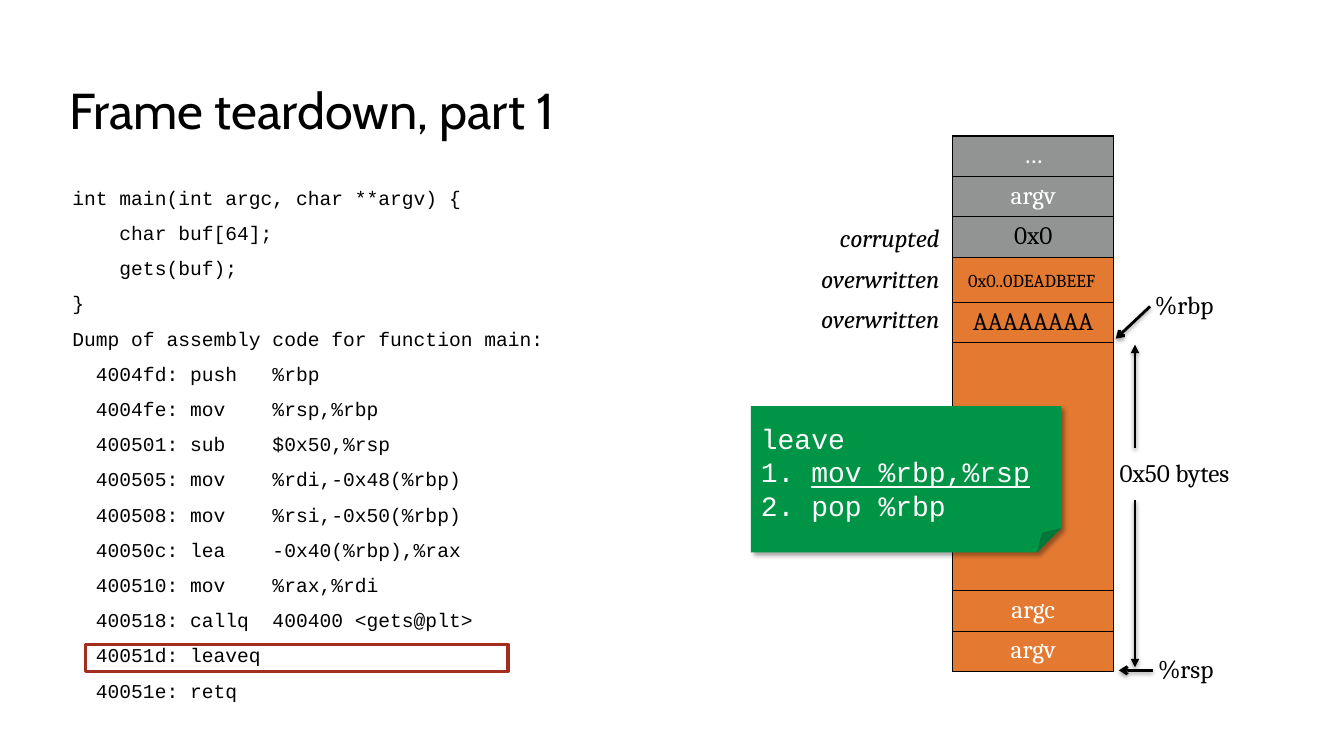
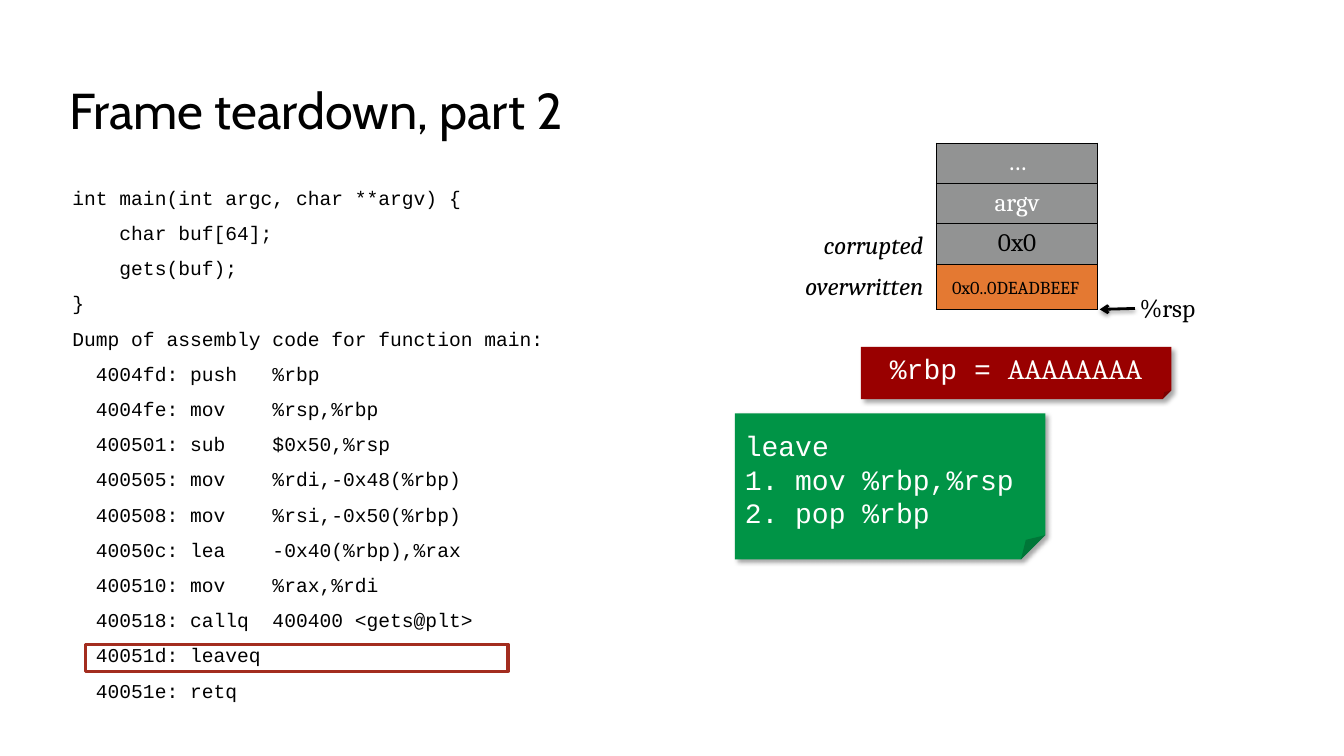
import typing

import lxml.etree
import pptx
import pptx.dml.color
import pptx.enum.shapes
import pptx.enum.text
import pptx.oxml.ns
import pptx.util

EMU_PER_PX = 9144
ALIGN = pptx.enum.text.PP_ALIGN
ANCHOR = pptx.enum.text.MSO_ANCHOR
SHAPE = pptx.enum.shapes.MSO_SHAPE
qn = pptx.oxml.ns.qn


class TextStyle(typing.NamedTuple):
    font: str
    size: int
    color: str = "000000"
    italic: bool = False


class Theme(typing.NamedTuple):
    black: str = "000000"
    gray: str = "929393"
    orange: str = "E47932"
    green: str = "009446"
    red: str = "990000"
    highlight: str = "A32D1F"
    title: TextStyle = TextStyle("Cabin", 36)
    code: TextStyle = TextStyle("Courier New", 14)
    label: TextStyle = TextStyle("Cambria", 18)
    light_label: TextStyle = TextStyle("Cambria", 18, "FFFFFF")
    note: TextStyle = TextStyle("Cambria", 18, italic=True)
    address: TextStyle = TextStyle("Cambria", 13)
    callout: TextStyle = TextStyle("Courier New", 20, "FFFFFE")
    callout_value: TextStyle = TextStyle("Cambria", 20, "FFFFFE")


THEME = Theme()


class Box(typing.NamedTuple):
    left: int
    top: int
    width: int
    height: int


class StackRow(typing.NamedTuple):
    text: str
    fill: str
    style: TextStyle = THEME.label
    height: int = 40


class Label(typing.NamedTuple):
    text: str
    box: Box


class Arrow(typing.NamedTuple):
    start: tuple[int, int]
    end: tuple[int, int]
    head: str = "arrow"


class CalloutLine(typing.NamedTuple):
    text: str
    numbered: bool = False
    underline: bool = False
    value: str = ""


class Callout(typing.NamedTuple):
    box: Box
    fill: str
    lines: tuple[CalloutLine, ...]
    inset_top: int = 5
    align: ALIGN = ALIGN.LEFT


class FrameSlide(typing.NamedTuple):
    title: str
    stack_left: int
    stack_top: int
    stacks: tuple[tuple[StackRow, ...], ...]
    notes: tuple[str, ...]
    labels: tuple[Label, ...]
    arrows: tuple[Arrow, ...]
    callouts: tuple[Callout, ...]


TITLE_BOX = Box(59, 40, 1150, 145)
CODE_BOX = Box(62, 182, 630, 496)
HIGHLIGHT_BOX = Box(85, 639, 419, 27)
STACK_WIDTH = 160
NOTE_TOP, NOTE_STEP = 81, 40
CODE = """int main(int argc, char **argv) {
    char buf[64];
    gets(buf);
}
Dump of assembly code for function main:
  4004fd: push   %rbp
  4004fe: mov    %rsp,%rbp
  400501: sub    $0x50,%rsp
  400505: mov    %rdi,-0x48(%rbp)
  400508: mov    %rsi,-0x50(%rbp)
  40050c: lea    -0x40(%rbp),%rax
  400510: mov    %rax,%rdi
  400518: callq  400400 <gets@plt>
  40051d: leaveq
  40051e: retq"""
CALLER_ROWS = (
    StackRow("…", THEME.gray, THEME.light_label),
    StackRow("argv", THEME.gray, THEME.light_label),
    StackRow("0x0", THEME.gray),
    StackRow("", THEME.orange, height=45),
)
SAVED_ROWS = CALLER_ROWS + (StackRow("AAAAAAAA", THEME.orange),)
FULL_ROWS = SAVED_ROWS + (
    StackRow("", THEME.orange, height=246),
    StackRow("argc", THEME.orange, THEME.light_label),
    StackRow("argv", THEME.orange, THEME.light_label),
)


def leave_callout(left: int, top: int, move_active: bool) -> Callout:
    lines = (
        CalloutLine("leave"),
        CalloutLine("mov %rbp,%rsp", numbered=True, underline=move_active),
        CalloutLine("pop %rbp", numbered=True),
    )
    return Callout(Box(left, top, 308, 145), THEME.green, lines, inset_top=15)


SLIDES = (
    FrameSlide(
        "Frame teardown, part 1", 945, 135,
        stacks=(FULL_ROWS, SAVED_ROWS),
        notes=("corrupted", "overwritten", "overwritten"),
        labels=(
            Label("%rbp", Box(1136, 282, 83, 40)),
            Label("%rsp", Box(1139, 643, 81, 40)),
            Label("0x50 bytes", Box(1101, 449, 138, 40)),
        ),
        arrows=(
            Arrow((1141, 304), (1107, 336)),
            Arrow((1144, 665), (1110, 665)),
            Arrow((1126, 444), (1126, 342), "triangle"),
            Arrow((1126, 496), (1126, 662), "triangle"),
        ),
        callouts=(leave_callout(745, 403, True),),
    ),
    FrameSlide(
        "Frame teardown, part 2", 929, 142,
        stacks=(CALLER_ROWS,),
        notes=("corrupted", "overwritten"),
        labels=(Label("%rsp", Box(1121, 285, 81, 40)),),
        arrows=(Arrow((1126, 306), (1091, 307)),),
        callouts=(
            Callout(Box(854, 344, 308, 52), THEME.red,
                    (CalloutLine("%rbp = ", value="AAAAAAAA"),), align=ALIGN.CENTER),
            leave_callout(729, 410, False),
        ),
    ),
)


def px(length: int) -> pptx.util.Emu:
    return pptx.util.Emu(length * EMU_PER_PX)


def rgb(color: str) -> pptx.dml.color.RGBColor:
    return pptx.dml.color.RGBColor.from_string(color)


def style_run(run, style: TextStyle) -> None:
    run.font.name = style.font
    run.font.size = pptx.util.Pt(style.size)
    run.font.color.rgb = rgb(style.color)
    run.font.italic = style.italic


def write(frame, text: str, style: TextStyle, align: ALIGN = ALIGN.LEFT) -> None:
    frame.text = text
    for paragraph in frame.paragraphs:
        paragraph.alignment = align
        for run in paragraph.runs:
            style_run(run, style)


def add_element(parent, tag: str, **attributes):
    values = {name: str(value) for name, value in attributes.items()}
    return lxml.etree.SubElement(parent, qn(tag), values)


def add_shadow(effects, distance: int, degrees: int, opacity: int) -> None:
    outer = add_element(effects, "a:outerShdw", blurRad=40000, dist=distance,
                        dir=degrees * 60000, rotWithShape=0)
    color = add_element(outer, "a:srgbClr", val=THEME.black)
    add_element(color, "a:alpha", val=opacity * 1000)


def draw_title(slide, text: str) -> None:
    title = slide.shapes.title
    title.left, title.top, title.width, title.height = map(px, TITLE_BOX)
    write(title.text_frame, text, THEME.title)
    title.text_frame.vertical_anchor = ANCHOR.MIDDLE
    title.text_frame.auto_size = pptx.enum.text.MSO_AUTO_SIZE.NONE
    title.text_frame.paragraphs[0].line_spacing = 0.9


def draw_text(slide, text: str, box: Box, style: TextStyle, align: ALIGN = ALIGN.LEFT):
    frame = slide.shapes.add_textbox(*map(px, box)).text_frame
    frame.word_wrap = True
    write(frame, text, style, align)
    return frame


def draw_code(slide) -> None:
    for paragraph in draw_text(slide, CODE, CODE_BOX, THEME.code).paragraphs:
        paragraph.line_spacing = 0.9
        paragraph.space_before = pptx.util.Pt(10)
    highlight = slide.shapes.add_shape(SHAPE.RECTANGLE, *map(px, HIGHLIGHT_BOX))
    highlight.shadow.inherit = False
    highlight.fill.background()
    highlight.line.color.rgb = rgb(THEME.highlight)
    highlight.line.width = pptx.util.Pt(2.25)


def draw_stack(slide, left: int, top: int, rows: tuple[StackRow, ...]) -> None:
    box = Box(left, top, STACK_WIDTH, sum(row.height for row in rows))
    table = slide.shapes.add_table(len(rows), 1, *map(px, box)).table
    table.first_row = table.horz_banding = False
    for index, row in enumerate(rows):
        table.rows[index].height = px(row.height)
        cell = table.cell(index, 0)
        properties = cell._tc.get_or_add_tcPr()
        for side in ("a:lnL", "a:lnR", "a:lnT", "a:lnB"):
            border = add_element(properties, side, w=pptx.util.Pt(1))
            add_element(add_element(border, "a:solidFill"), "a:srgbClr", val=THEME.black)
        cell.fill.solid()
        cell.fill.fore_color.rgb = rgb(row.fill)
        write(cell.text_frame, row.text, row.style, ALIGN.CENTER)


def draw_address(slide, left: int, top: int) -> None:
    box = Box(left - 2, top + 122, STACK_WIDTH + 1, 42)
    frame = draw_text(slide, "0x0..0DEADBEEF", box, THEME.address, ALIGN.CENTER)
    frame.vertical_anchor = ANCHOR.MIDDLE
    frame.margin_left = frame.margin_right = px(5)
    frame.margin_top = frame.margin_bottom = 0


def draw_arrow(slide, arrow: Arrow) -> None:
    points = map(px, arrow.start + arrow.end)
    connector = slide.shapes.add_connector(pptx.enum.shapes.MSO_CONNECTOR.STRAIGHT, *points)
    connector.line.color.rgb = rgb(THEME.black)
    connector.line.width = pptx.util.Pt(2)
    properties = connector._element.spPr
    add_element(properties.find(qn("a:ln")), "a:tailEnd", type=arrow.head)
    add_shadow(add_element(properties, "a:effectLst"), 20000, 90, 38)


def draw_callout(slide, callout: Callout) -> None:
    shape = slide.shapes.add_shape(SHAPE.FOLDED_CORNER, *map(px, callout.box))
    shape.fill.solid()
    shape.fill.fore_color.rgb = rgb(callout.fill)
    shape.line.fill.background()
    shape.shadow.inherit = False
    add_shadow(shape._element.spPr.find(qn("a:effectLst")), 36000, 45, 35)
    frame = shape.text_frame
    frame.vertical_anchor = ANCHOR.TOP
    frame.margin_top = px(callout.inset_top)
    write(frame, "\n".join(line.text for line in callout.lines), THEME.callout, callout.align)
    for paragraph, line in zip(frame.paragraphs, callout.lines):
        paragraph.runs[0].font.underline = line.underline
        if line.numbered:
            properties = paragraph._p.get_or_add_pPr()
            properties.set("marL", str(px(50)))
            properties.set("indent", str(px(-50)))
            add_element(properties, "a:buAutoNum", type="arabicPeriod")
        if line.value:
            run = paragraph.add_run()
            run.text = line.value
            style_run(run, THEME.callout_value)


def draw_slide(presentation, content: FrameSlide) -> None:
    slide = presentation.slides.add_slide(presentation.slide_layouts.get_by_name("Title Only"))
    left, top = content.stack_left, content.stack_top
    draw_title(slide, content.title)
    draw_code(slide)
    for rows in content.stacks:
        draw_stack(slide, left, top, rows)
    for index, note in enumerate(content.notes):
        box = Box(left - 153, top + NOTE_TOP + index * NOTE_STEP, 150, 40)
        draw_text(slide, note, box, THEME.note, ALIGN.RIGHT)
    draw_address(slide, left, top)
    for label in content.labels:
        draw_text(slide, label.text, label.box, THEME.label)
    for arrow in content.arrows:
        draw_arrow(slide, arrow)
    for callout in content.callouts:
        draw_callout(slide, callout)


def main() -> None:
    presentation = pptx.Presentation()
    presentation.slide_height = px(750)
    presentation.slide_width = presentation.slide_height * 16 // 9
    for content in SLIDES:
        draw_slide(presentation, content)
    presentation.save("out.pptx")


if __name__ == "__main__":
    main()
